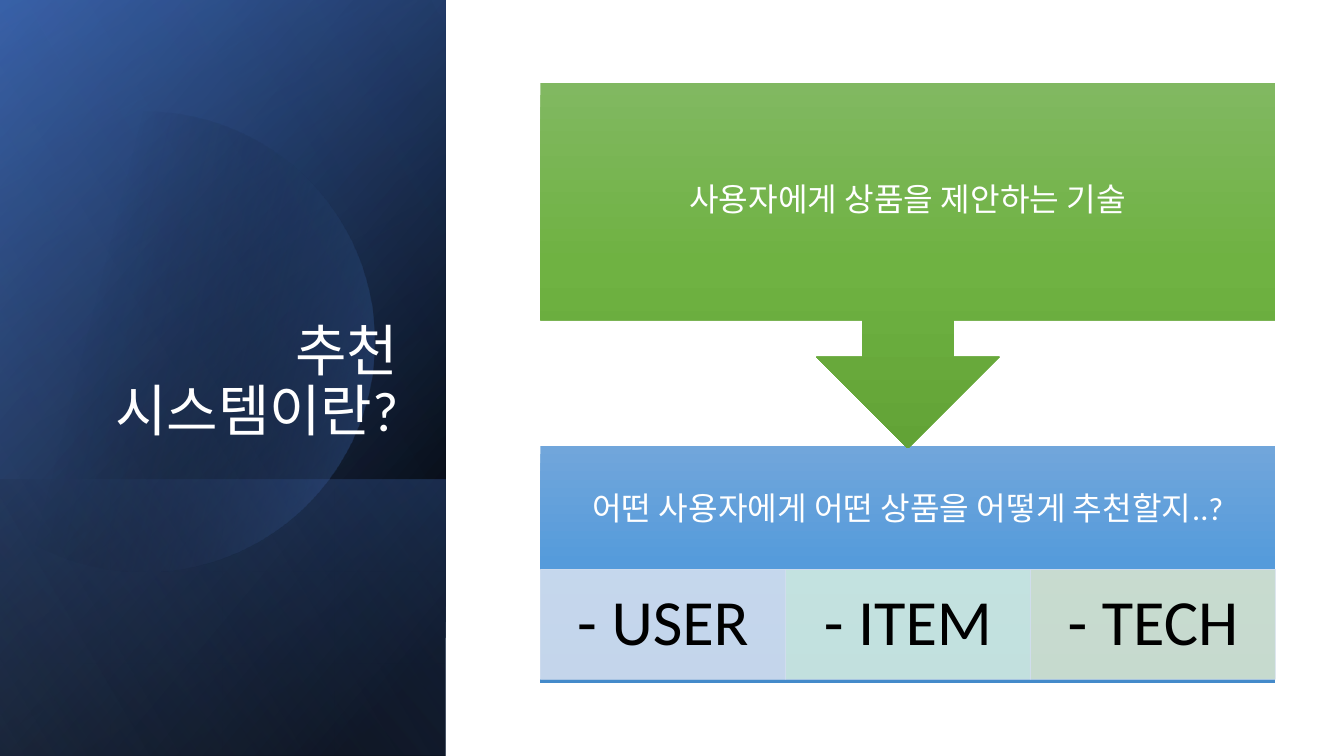
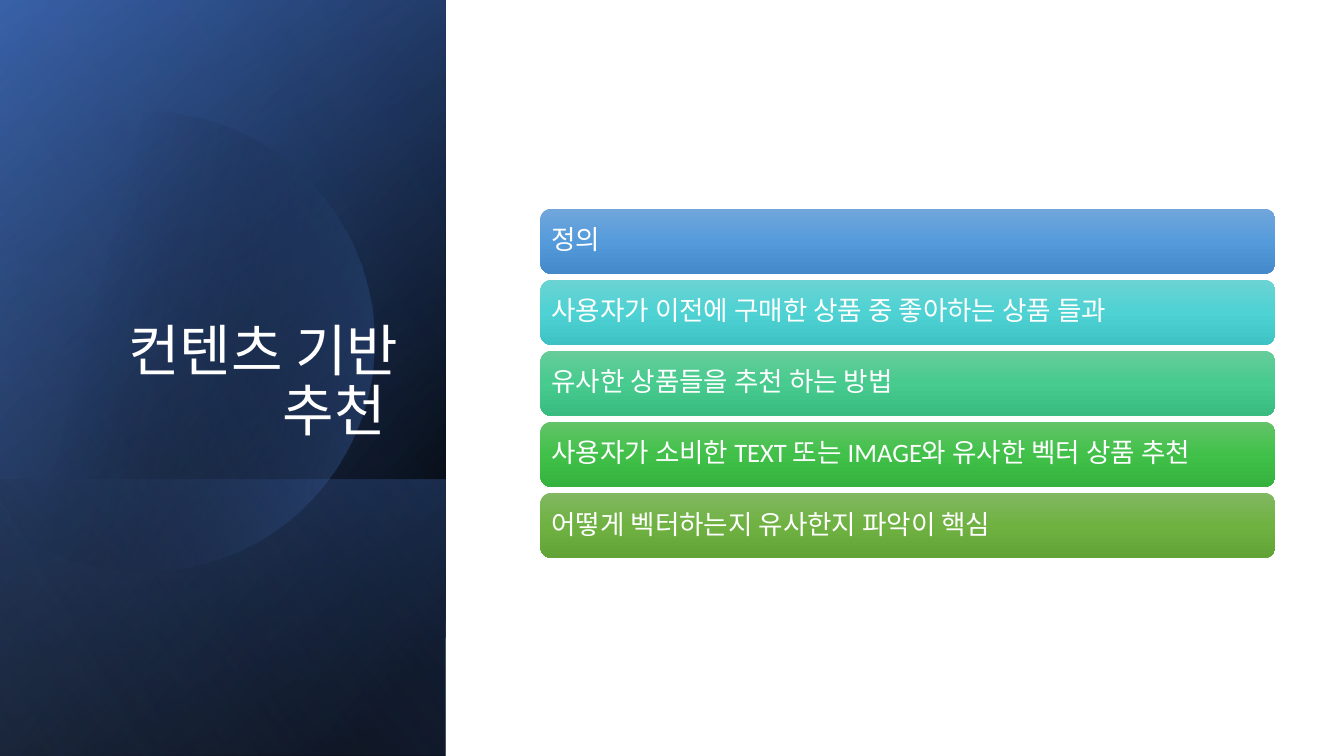
from dataclasses import dataclass
from math import acos, cos, pi, sin

from lxml.etree import SubElement
from pptx import Presentation
from pptx.dml.color import RGBColor
from pptx.enum.shapes import MSO_SHAPE as Shape
from pptx.enum.text import MSO_ANCHOR as Anchor, PP_ALIGN as Align
from pptx.oxml.ns import qn
from pptx.util import Cm, Pt


@dataclass(frozen=True)
class Theme:
    font: str = "Calibri"
    title_size: int = 40
    step_size: int = 23
    keyword_size: int = 46
    item_size: int = 19
    light: str = "FFFFFF"
    dark: str = "000000"
    navy: str = "2F5597"
    accent: str = "4472C4"
    pale_accent: str = "8FAADC"
    cell_line: str = "D2DEEF"
    cells: tuple = ("D2DEEF", "D0EAE1", "D5E3CF")
    blue: tuple = ("71A6DB", "559BDB", "448ACA")
    teal: tuple = ("6CD3D3", "4ED2D3", "3EC2C3")
    mint: tuple = ("67CC9A", "47CB8E", "39BB7F")
    green: tuple = ("63C368", "42C14A", "34B23D")
    olive: tuple = ("81B861", "6FB242", "62A336")


@dataclass(frozen=True)
class Box:
    x: float
    y: float
    w: float
    h: float

    def lengths(self):
        return Cm(self.x), Cm(self.y), Cm(self.w), Cm(self.h)


T = Theme()
SLIDE = Box(0, 0, 33.87, 19.05)
PANEL = Box(0, 0, 11.23, 19.05)
FLOW = Box(13.62, 2.08, 18.52, 15.14)
LIST = Box(13.62, 5.26, 18.52, 8.8)


def set_alpha(color, percent):
    SubElement(color, qn("a:alpha")).set("val", str(percent * 1000))


def fill_gradient(sp, stops, angle):
    sp.fill.gradient()
    grad = sp._element.spPr.find(qn("a:gradFill"))
    gs_list = grad.find(qn("a:gsLst"))
    for gs in list(gs_list):
        gs_list.remove(gs)
    for position, rgb, alpha in stops:
        gs = SubElement(gs_list, qn("a:gs"))
        gs.set("pos", str(position * 1000))
        color = SubElement(gs, qn("a:srgbClr"))
        color.set("val", rgb)
        if alpha < 100:
            set_alpha(color, alpha)
    grad.find(qn("a:lin")).set("ang", str(angle * 60000))


def add_block(slide, kind, box):
    sp = slide.shapes.add_shape(kind, *box.lengths())
    sp.shadow.inherit = False
    sp.line.fill.background()
    return sp


def add_card(slide, kind, box, colors):
    sp = add_block(slide, kind, box)
    fill_gradient(sp, [(i * 50, rgb, 100) for i, rgb in enumerate(colors)], 90)
    return sp


def write(sp, text, size, color=T.light, align=Align.CENTER,
          anchor=Anchor.MIDDLE, insets=(0.25, 0.13, 0.25, 0.13)):
    tf = sp.text_frame
    tf.word_wrap = True
    tf.vertical_anchor = anchor
    tf.margin_left, tf.margin_top, tf.margin_right, tf.margin_bottom = map(Cm, insets)
    tf.text = text
    p = tf.paragraphs[0]
    p.alignment = align
    p.line_spacing = 0.9
    font = p.runs[0].font
    font.name = T.font
    font.size = Pt(size)
    font.color.rgb = RGBColor.from_string(color)


def add_panel_layer(slide, box, stops, angle):
    turned = Box(box.x + (box.w - box.h) / 2, box.y + (box.h - box.w) / 2, box.h, box.w)
    sp = add_block(slide, Shape.RECTANGLE, turned)
    sp.rotation = 90
    sp._element.spPr.find(qn("a:xfrm")).set("flipH", "1")
    fill_gradient(sp, stops, angle)


def add_disc(slide, panel):
    cx, cy, radius, steps = panel.x + 3.63, panel.y + 8.6, 5.8, 90
    limit = acos((panel.x - cx) / radius)
    angles = [limit * (2 * i / steps - 1) for i in range(steps + 1)]
    points = [(Cm(cx + radius * cos(a)), Cm(cy + radius * sin(a))) for a in angles]
    builder = slide.shapes.build_freeform(*points[0])
    builder.add_line_segments(points[1:], close=True)
    sp = builder.convert_to_shape()
    sp.shadow.inherit = False
    sp.line.fill.background()
    fill_gradient(sp, [(29, T.dark, 0), (100, T.accent, 43)], 14)


def add_title_panel(slide, box, title):
    band_h = 6.96
    band = Box(box.x, box.y + box.h - band_h, box.w, band_h)
    add_panel_layer(slide, box, [(8, T.dark, 100), (100, T.navy, 100)], 50)
    add_panel_layer(slide, box, [(0, T.dark, 0), (99, T.accent, 46)], 30)
    add_panel_layer(slide, band, [(2, T.accent, 29), (100, T.dark, 30)], 130)
    add_disc(slide, box)
    add_panel_layer(slide, box, [(0, T.dark, 0), (99, T.pale_accent, 11)], 120)
    title_box = Box(box.x + 1.63, box.y + 4.67, 8.66, 6.65)
    write(slide.shapes.add_textbox(*title_box.lengths()), title, T.title_size,
          align=Align.RIGHT, anchor=Anchor.BOTTOM)


def add_flow(slide, box, premise, question, keywords):
    question_h, cell_h, foot = 5.99, 2.77, 0.1
    callout_h = 9.22
    base = Box(box.x, box.y + box.h - question_h, box.w, question_h)
    sp = add_card(slide, Shape.RECTANGLE, base, T.blue)
    write(sp, question, T.step_size, insets=(0.46, 0.46, 0.46, 3.2))

    cell_w = box.w / len(keywords)
    cell_y = box.y + box.h - foot - cell_h
    for i, (keyword, rgb) in enumerate(zip(keywords, T.cells)):
        sp = add_block(slide, Shape.RECTANGLE,
                       Box(box.x + i * cell_w, cell_y, cell_w, cell_h))
        sp.fill.solid()
        sp.fill.fore_color.rgb = RGBColor.from_string(rgb)
        sp.line.color.rgb = RGBColor.from_string(T.cell_line)
        sp.line.width = Pt(0.5)
        for color in sp._element.spPr.iter(qn("a:srgbClr")):
            set_alpha(color, 90)
        write(sp, keyword, T.keyword_size, T.dark)

    sp = add_card(slide, Shape.DOWN_ARROW_CALLOUT,
                  Box(box.x, box.y, box.w, callout_h), T.olive)
    write(sp, premise, T.step_size, insets=(0.46,) * 4)


def add_list(slide, box, items):
    gap = 0.15
    item_h = (box.h - gap * (len(items) - 1)) / len(items)
    palettes = (T.blue, T.teal, T.mint, T.green, T.olive)
    for i, (item, colors) in enumerate(zip(items, palettes)):
        sp = add_card(slide, Shape.ROUNDED_RECTANGLE,
                      Box(box.x, box.y + i * (item_h + gap), box.w, item_h), colors)
        write(sp, item, T.item_size, align=Align.LEFT, insets=(0.2, 0.2, 0.2, 0.2))


def add_slide(prs, title):
    slide = prs.slides.add_slide(prs.slide_layouts[6])
    add_title_panel(slide, PANEL, title)
    return slide


def main():
    prs = Presentation()
    prs.slide_width, prs.slide_height = Cm(SLIDE.w), Cm(SLIDE.h)
    add_flow(add_slide(prs, "추천 시스템이란?"), FLOW,
             "사용자에게 상품을 제안하는 기술",
             "어떤 사용자에게 어떤 상품을 어떻게 추천할지..?",
             ("- USER", "- ITEM", "- TECH"))
    add_list(add_slide(prs, "컨텐츠 기반 추천 "), LIST, (
        "정의",
        "사용자가 이전에 구매한 상품 중 좋아하는 상품 들과",
        "유사한 상품들을 추천 하는 방법",
        "사용자가 소비한 TEXT 또는 IMAGE와 유사한 벡터 상품 추천",
        "어떻게 벡터하는지 유사한지 파악이 핵심",
    ))
    prs.save("out.pptx")


if __name__ == "__main__":
    main()
